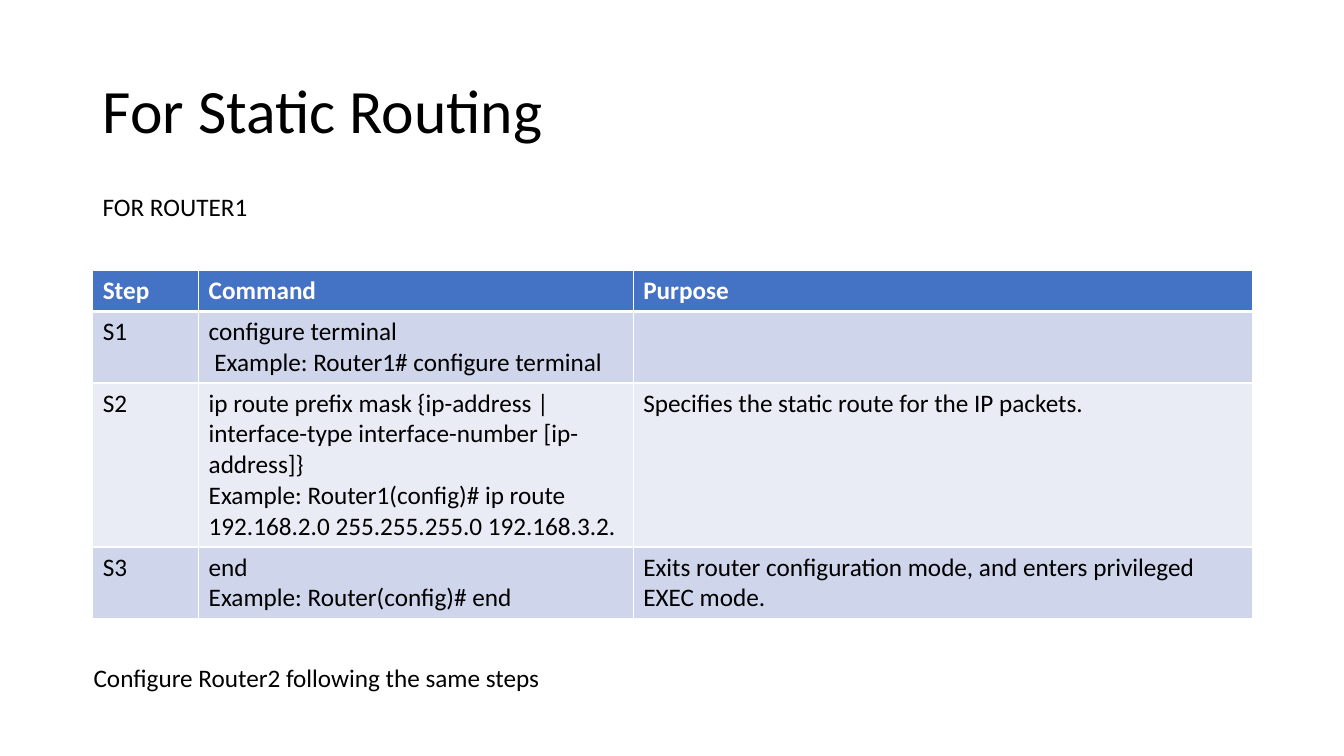
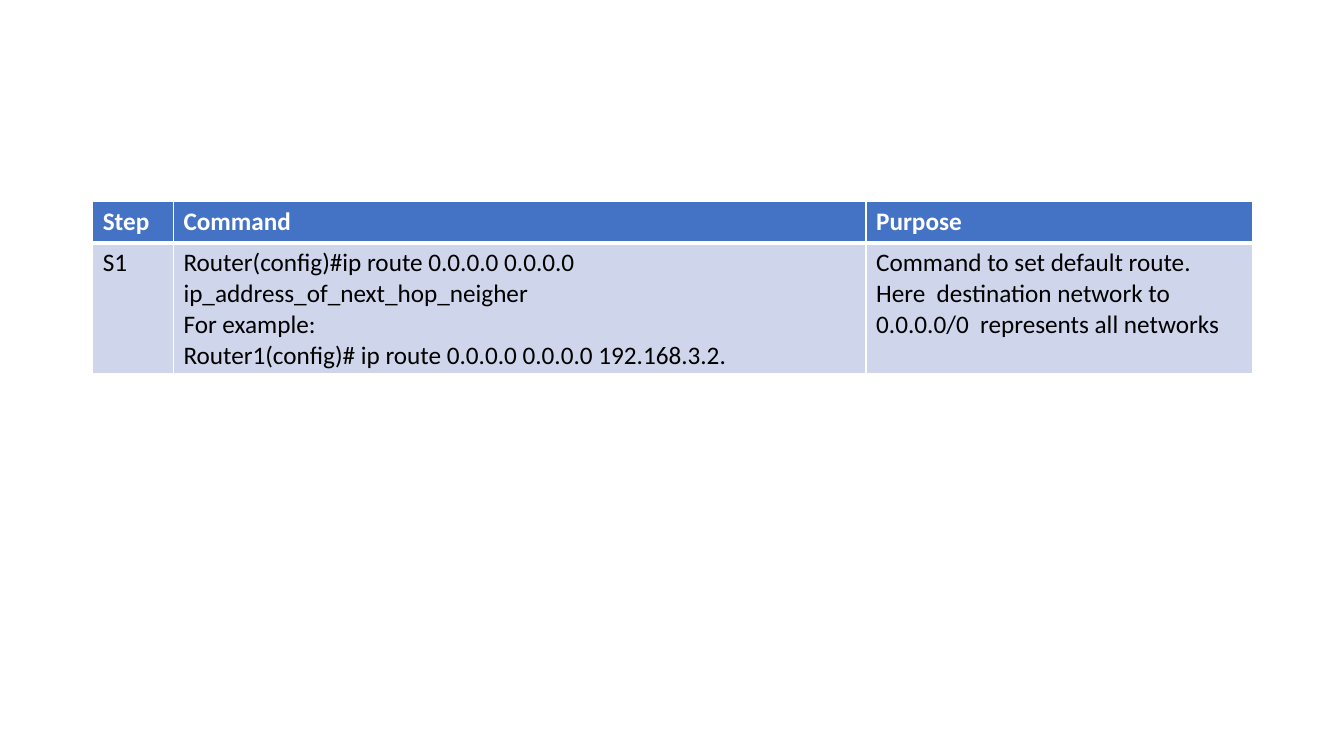
from pptx import Presentation
from pptx.dml.color import RGBColor
from pptx.enum.text import MSO_ANCHOR, MSO_AUTO_SIZE, PP_ALIGN
from pptx.oxml import parse_xml
from pptx.oxml.ns import nsdecls
from pptx.util import Inches, Pt

BLACK = RGBColor(0x00, 0x00, 0x00)
WHITE = RGBColor(0xFF, 0xFF, 0xFF)
BLUE = RGBColor(0x44, 0x72, 0xC4)
BAND_DARK = RGBColor(0xCF, 0xD5, 0xEA)
BAND_LIGHT = RGBColor(0xE9, 0xEB, 0xF5)

LEFT, WIDTH = 0.92, 11.5
HEADER = ["Step", "Command", "Purpose"]
TITLE = {"name": "Calibri", "size": Pt(44), "bold": False}
BODY = {"name": "Calibri", "size": Pt(18), "bold": False}
HEAD = {"name": "Calibri", "size": Pt(18), "bold": True}


def write(tf, text, style, color):
    """Fill a text frame, one paragraph per line, in the given style."""
    tf.text = text
    for p in tf.paragraphs:
        for font in [p.font] + [r.font for r in p.runs]:
            for key, value in style.items():
                setattr(font, key, value)
            font.color.rgb = color


def add_steps(s, top, widths, heights, steps):
    """Add a banded table of steps with white rules."""
    rows = [HEADER] + steps
    table = s.shapes.add_table(len(rows), len(HEADER), Inches(LEFT), Inches(top),
                               Inches(WIDTH), Inches(sum(heights))).table
    for column, width in zip(table.columns, widths):
        column.width = Inches(width)
    for i, (row, height) in enumerate(zip(rows, heights)):
        table.rows[i].height = Inches(height)
        band = BAND_DARK if i % 2 else BAND_LIGHT
        for j, text in enumerate(row):
            cell = table.cell(i, j)
            tcPr = cell._tc.get_or_add_tcPr()
            for side in "LRTB":
                thick = (i, side) in [(0, "B"), (1, "T")]
                tcPr.append(parse_xml(
                    f'<a:ln{side} {nsdecls("a")} w="{Pt(3 if thick else 1)}">'
                    f'<a:solidFill><a:srgbClr val="{WHITE}"/></a:solidFill></a:ln{side}>'))
            cell.fill.solid()
            cell.fill.fore_color.rgb = band if i else BLUE
            write(cell.text_frame, text, BODY if i else HEAD, BLACK if i else WHITE)


prs = Presentation()
prs.slide_width, prs.slide_height = Inches(13.33), Inches(7.5)

# Static routing
s = prs.slides.add_slide(prs.slide_layouts[5])
title = s.shapes.title
title.left, title.top = Inches(LEFT), Inches(0.4)
title.width, title.height = Inches(WIDTH), Inches(1.45)
tf = title.text_frame
tf.auto_size = MSO_AUTO_SIZE.NONE
tf.vertical_anchor = MSO_ANCHOR.MIDDLE
write(tf, "For Static Routing", TITLE, BLACK)
tf.paragraphs[0].alignment = PP_ALIGN.LEFT
tf.paragraphs[0].line_spacing = 0.9

add_steps(s, 2.68, [1.05, 4.31, 6.14], [0.41, 0.7, 1.62, 0.7], [
    ["S1", "configure terminal\n Example: Router1# configure terminal", ""],
    ["S2", "ip route prefix mask {ip-address | interface-type interface-number "
           "[ip-address]} \nExample: Router1(config)# ip route "
           "192.168.2.0 255.255.255.0 192.168.3.2.",
     "Specifies the static route for the IP packets."],
    ["S3", "end \nExample: Router(config)# end",
     "Exits router configuration mode, and enters privileged EXEC mode."],
])

for left, top, width, text in [
    (LEFT, 1.85, 3.8, "FOR ROUTER1"),
    (0.83, 6.52, 5.67, "Configure Router2 following the same steps"),
]:
    note = s.shapes.add_textbox(Inches(left), Inches(top), Inches(width), Inches(0.4))
    tf = note.text_frame
    tf.word_wrap = True
    tf.auto_size = MSO_AUTO_SIZE.SHAPE_TO_FIT_TEXT
    write(tf, text, BODY, BLACK)

# Default route
s = prs.slides.add_slide(prs.slide_layouts[6])
add_steps(s, 2, [0.8, 6.87, 3.83], [0.41, 1.3], [
    ["S1", "Router(config)#ip route 0.0.0.0 0.0.0.0 ip_address_of_next_hop_neigher\n"
           "For example:\nRouter1(config)# ip route 0.0.0.0 0.0.0.0 192.168.3.2.",
     "Command to set default route.\n"
     "Here \u00a0destination network to 0.0.0.0/0  represents all networks"],
])

prs.save("out.pptx")
